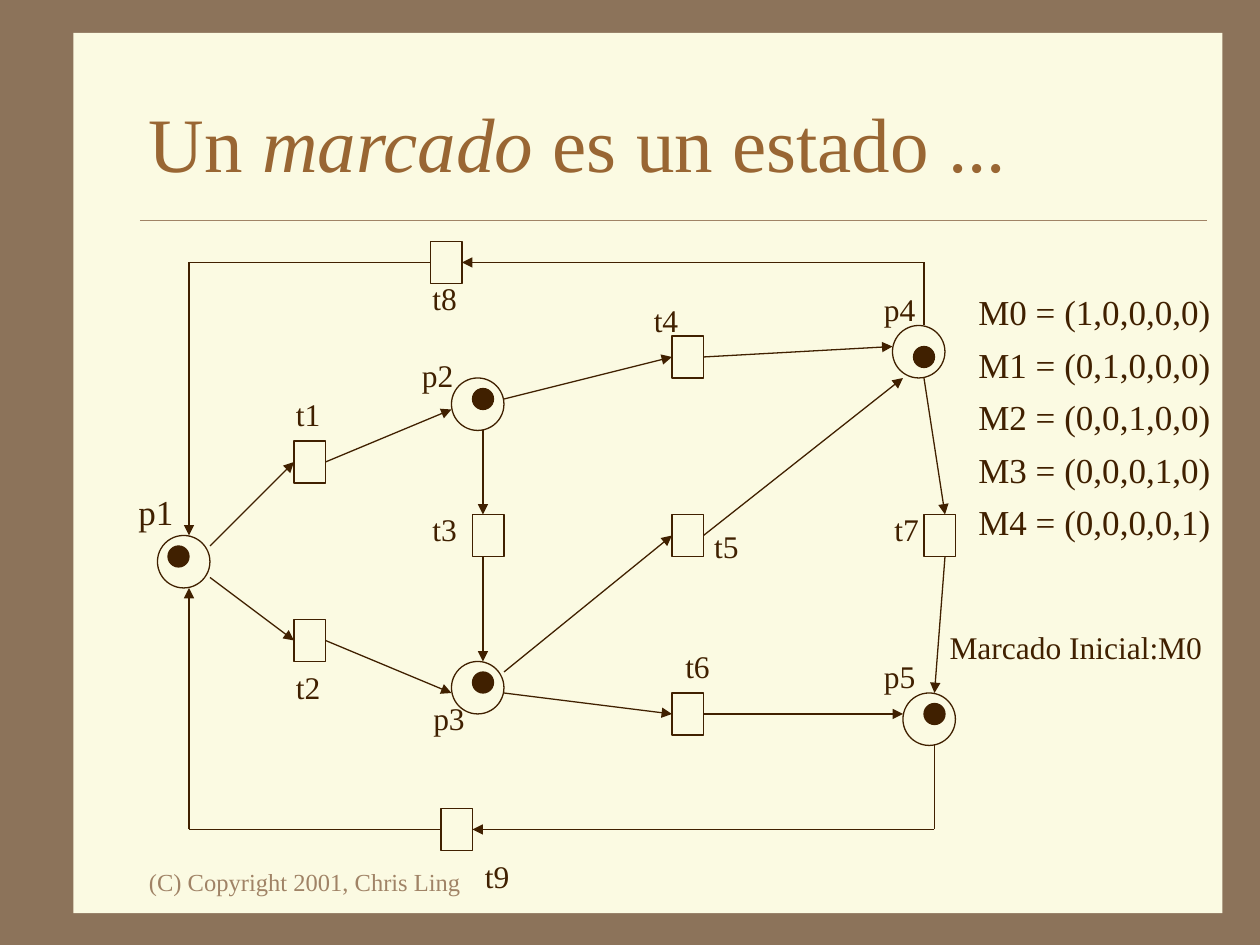
"""Build a slide showing a Petri net and its markings as states."""
from lxml.etree import SubElement
from pptx import Presentation
from pptx.dml.color import RGBColor
from pptx.enum.shapes import MSO_CONNECTOR as CONNECTOR, MSO_SHAPE as SHAPE
from pptx.enum.text import MSO_ANCHOR as ANCHOR
from pptx.oxml.ns import qn
from pptx.util import Pt

FRAME = RGBColor(0x8C, 0x73, 0x5A)
PAPER = RGBColor(0xFB, 0xFA, 0xE2)
RULE = RGBColor(0xA0, 0x83, 0x66)
HEADING = RGBColor(0x99, 0x66, 0x33)
INK = RGBColor(0x40, 0x20, 0x00)

presentation = Presentation()
presentation.slide_width, presentation.slide_height = Pt(720), Pt(540)
slide = presentation.slides.add_slide(presentation.slide_layouts[6])
slide.background.fill.solid()
slide.background.fill.fore_color.rgb = FRAME


def add_figure(kind, left, top, width, height, fill=None, line=INK):
    figure = slide.shapes.add_shape(kind, Pt(left), Pt(top), Pt(width), Pt(height))
    figure.shadow.inherit = False
    if fill is None:
        figure.fill.background()
    else:
        figure.fill.solid()
        figure.fill.fore_color.rgb = fill
    if line is None:
        figure.line.fill.background()
    else:
        figure.line.color.rgb = line
        figure.line.width = Pt(0.75)


def add_text(runs, left, top, width, height, size=18, color=INK):
    frame = slide.shapes.add_textbox(Pt(left), Pt(top), Pt(width), Pt(height)).text_frame
    frame.word_wrap = True
    frame.vertical_anchor = ANCHOR.MIDDLE
    for wording, italic in runs:
        run = frame.paragraphs[0].add_run()
        run.text = wording
        run.font.name = "Times New Roman"
        run.font.size = Pt(size)
        run.font.italic = italic
        run.font.color.rgb = color


add_figure(SHAPE.RECTANGLE, 42, 18.8, 656.5, 503, PAPER, None)
add_text([("(C) Copyright 2001, Chris Ling", False)], 78, 492, 198, 24, 14, RULE)
add_text([("Un ", False), ("marcado ", True), ("es un estado ...", False)],
         78, 36, 612, 90, 44, HEADING)

places = [
    ("p1", 90, 306, (6, 6), (72, 276)),
    ("p2", 258, 216, (12, 6), (234, 200)),
    ("p3", 258, 378, (12, 6), (240.5, 396)),
    ("p4", 510, 186, (12, 12), (498, 162)),
    ("p5", 516, 396, (12, 6), (498, 372)),
]
for name, left, top, token, label in places:
    add_figure(SHAPE.OVAL, left, top, 30, 30)
    add_figure(SHAPE.OVAL, left + token[0], top + token[1], 12, 12, INK)
    size = 20 if name == "p1" else 18
    add_text([(name, False)], *label, 40, size * 1.6, size)

transitions = [
    ("t1", 168, 252, (162, 222)),
    ("t2", 168, 354, (162, 378)),
    ("t3", 270, 294, (240, 288)),
    ("t4", 384, 192, (366.5, 168)),
    ("t5", 384, 294, (401, 297.5)),
    ("t6", 384, 396, (384.5, 366)),
    ("t7", 528, 294, (504, 288)),
    ("t8", 246, 138, (240, 156)),
    ("t9", 252, 462, (270, 486)),
]
for name, left, top, label in transitions:
    add_figure(SHAPE.RECTANGLE, left, top, 18, 24)
    add_text([(name, False)], *label, 40, 29)

divider = [(80, 126), (690, 126)]
arcs = [
    [(120, 312), (168, 264)],
    [(120, 330), (168, 366)],
    [(186, 264), (258, 234)],
    [(186, 366), (258, 396)],
    [(288, 228), (384, 204)],
    [(402, 204), (510, 198)],
    [(276, 246), (276, 294)],
    [(276, 318), (276, 378)],
    [(288, 384), (384, 306)],
    [(402, 306), (516, 216)],
    [(288, 396), (384, 408)],
    [(402, 408), (516, 408)],
    [(528, 216), (540, 294)],
    [(540, 318), (534, 396)],
    [(534, 426), (534, 474), (270, 474)],
    [(252, 474), (108, 474), (108, 336)],
    [(528, 186), (528, 150), (264, 150)],
    [(246, 150), (108, 150), (108, 306)],
]
for route in [divider] + arcs:
    for start, end in zip(route, route[1:]):
        segment = slide.shapes.add_connector(
            CONNECTOR.STRAIGHT, Pt(start[0]), Pt(start[1]), Pt(end[0]), Pt(end[1]))
        segment.line.color.rgb = RULE if route is divider else INK
        segment.line.width = Pt(0.25 if route is divider else 0.75)
        if route is not divider and end == route[-1]:
            SubElement(segment.line._get_or_add_ln(), qn("a:tailEnd"), type="triangle")
        SubElement(segment._element.spPr, qn("a:effectLst"))

for marked in range(5):
    tokens = ",".join("1" if place == marked else "0" for place in range(5))
    add_text([(f"M{marked} = ({tokens})", False)], 552, 162 + 30 * marked, 160, 32, 20)
add_text([("Marcado Inicial:M0", False)], 535.5, 355, 170, 29)

presentation.save("out.pptx")
